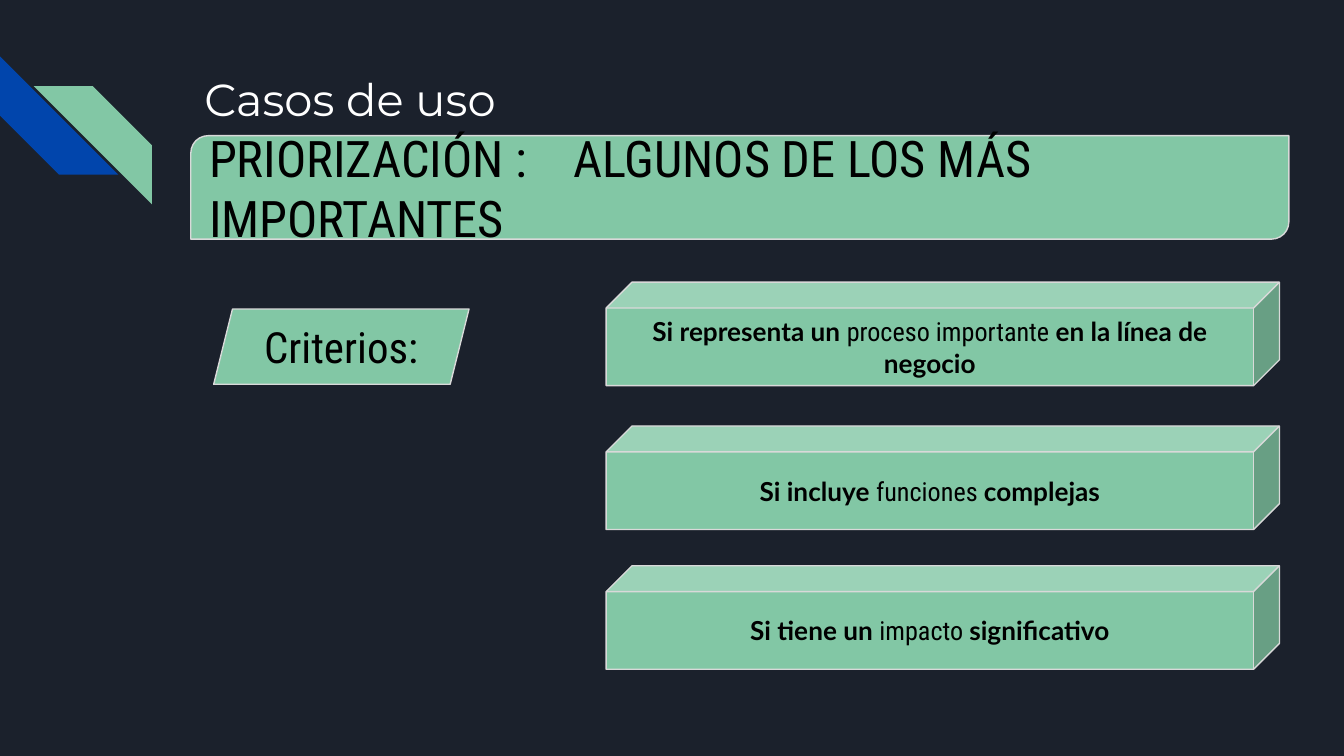
from dataclasses import dataclass

from lxml import etree
from pptx import Presentation
from pptx.dml.color import RGBColor
from pptx.enum.shapes import MSO_SHAPE
from pptx.enum.text import MSO_ANCHOR, MSO_AUTO_SIZE, PP_ALIGN
from pptx.oxml.ns import qn
from pptx.util import Inches, Pt

STRIPE = MSO_SHAPE.DIAGONAL_STRIPE
BANNER = MSO_SHAPE.ROUND_2_DIAG_RECTANGLE
PARALLELOGRAM = MSO_SHAPE.PARALLELOGRAM
CUBE = MSO_SHAPE.CUBE
LEFT, CENTER = PP_ALIGN.LEFT, PP_ALIGN.CENTER
TOP, MIDDLE = MSO_ANCHOR.TOP, MSO_ANCHOR.MIDDLE


@dataclass(frozen=True)
class Theme:
    background: RGBColor = RGBColor.from_string("1B212C")
    blue: RGBColor = RGBColor.from_string("0145AC")
    green: RGBColor = RGBColor.from_string("82C7A5")
    outline: RGBColor = RGBColor.from_string("D9D9D9")
    light: RGBColor = RGBColor.from_string("FFFFFF")
    dark: RGBColor = RGBColor.from_string("000000")
    title_font: str = "Montserrat"
    label_font: str = "Roboto Condensed"
    strong_font: str = "Lato"
    title_size: Pt = Pt(24)
    banner_size: Pt = Pt(27)
    label_size: Pt = Pt(23)
    criterion_size: Pt = Pt(14)


theme = Theme()


def add_filled_shape(kind, left, top, width, height, fill, outlined=True):
    shape = slide.shapes.add_shape(
        kind, Inches(left), Inches(top), Inches(width), Inches(height))
    shape.shadow.inherit = False
    shape.fill.solid()
    shape.fill.fore_color.rgb = fill
    if outlined:
        shape.line.color.rgb = theme.outline
        shape.line.width = Pt(0.75)
    else:
        shape.line.fill.background()
    return shape


def format_text(shape, anchor, alignment, size, color, font_name=None):
    """Lay out the text frame and return its first paragraph."""
    frame = shape.text_frame
    frame.word_wrap = True
    frame.auto_size = MSO_AUTO_SIZE.NONE
    frame.vertical_anchor = anchor
    frame.margin_left = frame.margin_right = Inches(0.1)
    frame.margin_top = frame.margin_bottom = Inches(0.1)
    paragraph = frame.paragraphs[0]
    paragraph.alignment = alignment
    paragraph.font.size = size
    paragraph.font.color.rgb = color
    if font_name:
        paragraph.font.name = font_name
    return paragraph


# Widescreen page, 16:9
presentation = Presentation()
presentation.slide_width = Inches(10)
presentation.slide_height = Inches(10 * 9 / 16)
slide = presentation.slides.add_slide(presentation.slide_layouts[5])
slide.background.fill.solid()
slide.background.fill.fore_color.rgb = theme.background

# Corner decoration
blue_stripe = add_filled_shape(STRIPE, 0, 0.42, 0.88, 0.88, theme.blue, outlined=False)
blue_stripe.rotation = 270
green_stripe = add_filled_shape(STRIPE, 0.25, 0.64, 0.88, 0.88, theme.green, outlined=False)
green_stripe.element.spPr.find(qn("a:xfrm")).set("flipH", "1")

# Title
title = slide.shapes.title
title.left, title.top = Inches(1.42), Inches(0.43)
title.width, title.height = Inches(7.7), Inches(1)
title.text_frame.text = "Casos de uso"
format_text(title, TOP, LEFT, theme.title_size, theme.light, theme.title_font)

# Banner, with a tab stop for the second part of its heading
banner = add_filled_shape(BANNER, 1.42, 1.01, 8.17, 0.77, theme.green)
banner.text_frame.text = "PRIORIZACIÓN :\tALGUNOS DE LOS MÁS IMPORTANTES"
properties = banner.text_frame.paragraphs[0]._p.get_or_add_pPr()
tab_list = etree.SubElement(properties, qn("a:tabLst"))
etree.SubElement(tab_list, qn("a:tab"), pos=str(Inches(2.71)), algn="l")
format_text(banner, MIDDLE, LEFT, theme.banner_size, theme.dark, theme.label_font)

# Criteria
label = add_filled_shape(PARALLELOGRAM, 1.59, 2.3, 1.9, 0.56, theme.green)
label.text_frame.text = "Criterios:"
format_text(label, MIDDLE, CENTER, theme.label_size, theme.dark, theme.label_font)

criteria = [
    (2.1, "Si representa un ", "proceso importante ", "en la línea de negocio"),
    (3.17, "Si incluye ", "funciones ", "complejas"),
    (4.21, "Si tiene un ", "impacto ", "significativo"),
]
for top, opening, subject, ending in criteria:
    cube = add_filled_shape(CUBE, 4.51, top, 5.01, 0.77, theme.green)
    paragraph = format_text(cube, MIDDLE, CENTER, theme.criterion_size, theme.dark)
    for text, strong in ((opening, True), (subject, False), (ending, True)):
        run = paragraph.add_run()
        run.text = text
        run.font.bold = strong
        run.font.name = theme.strong_font if strong else theme.label_font

presentation.save("out.pptx")
